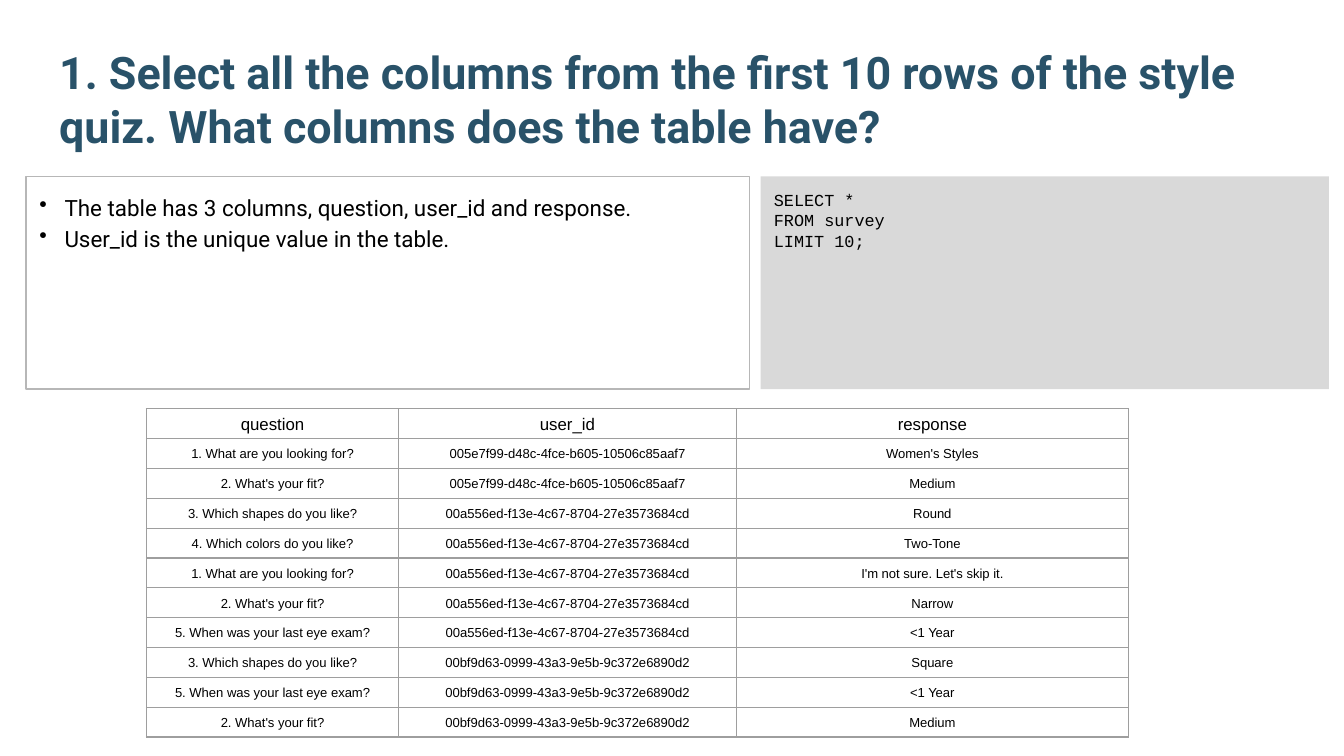
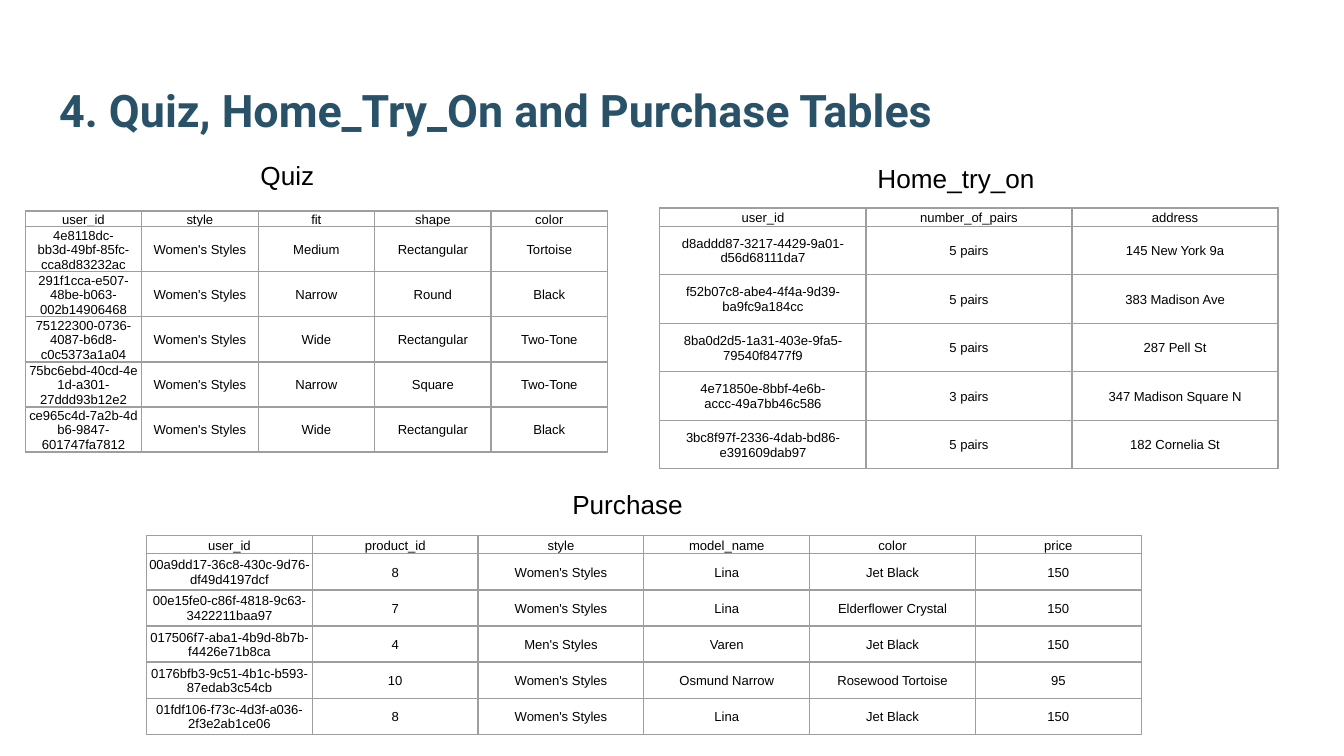
from lxml.etree import SubElement
from pptx import Presentation
from pptx.dml.color import RGBColor
from pptx.enum.shapes import MSO_SHAPE as Shape
from pptx.enum.text import MSO_ANCHOR as Anchor, MSO_AUTO_SIZE as AutoSize, PP_ALIGN as Align
from pptx.oxml.ns import qn
from pptx.util import Pt

TEAL = RGBColor(0x29, 0x52, 0x69)
BLACK = RGBColor(0x00, 0x00, 0x00)
CODE_GRAY = RGBColor(0xD9, 0xD9, 0xD9)
BOX_BORDER = RGBColor(0xB7, 0xB7, 0xB7)
GRID = RGBColor(0x9E, 0x9E, 0x9E)

SURVEY_TITLE = "1. Select all the columns from the first 10 rows of the style quiz. What columns does the table have?"
SURVEY_NOTES = [
    "The table has 3 columns, question, user_id and response.",
    "User_id is the unique value in the table.",
]
SURVEY_QUERY = ["SELECT *", "FROM survey", "LIMIT 10;"]

QUESTIONS = {
    1: "1. What are you looking for?",
    2: "2. What's your fit?",
    3: "3. Which shapes do you like?",
    4: "4. Which colors do you like?",
    5: "5. When was your last eye exam?",
}
USER_A = "005e7f99-d48c-4fce-b605-10506c85aaf7"
USER_B = "00a556ed-f13e-4c67-8704-27e3573684cd"
USER_C = "00bf9d63-0999-43a3-9e5b-9c372e6890d2"
ANSWERS = [
    (1, USER_A, "Women's Styles"),
    (2, USER_A, "Medium"),
    (3, USER_B, "Round"),
    (4, USER_B, "Two-Tone"),
    (1, USER_B, "I'm not sure. Let's skip it."),
    (2, USER_B, "Narrow"),
    (5, USER_B, "<1 Year"),
    (3, USER_C, "Square"),
    (5, USER_C, "<1 Year"),
    (2, USER_C, "Medium"),
]
SURVEY_ROWS = [("question", "user_id", "response")] + [
    (QUESTIONS[number], user, response) for number, user, response in ANSWERS
]

FUNNEL_TITLE = "4. Quiz, Home_Try_On and Purchase Tables"
FUNNEL_TABLES = [
    {
        "label": "Quiz",
        "label_box": (132.5, 82, 92, 24.5),
        "origin": (13.5, 113),
        "width": 312,
        "row_heights": (8.3, 24),
        "rows": [
            ("user_id", "style", "fit", "shape", "color"),
            ("4e8118dc-bb3d-49bf-85fc-cca8d83232ac", "Women's Styles", "Medium", "Rectangular", "Tortoise"),
            ("291f1cca-e507-48be-b063-002b14906468", "Women's Styles", "Narrow", "Round", "Black"),
            ("75122300-0736-4087-b6d8-c0c5373a1a04", "Women's Styles", "Wide", "Rectangular", "Two-Tone"),
            ("75bc6ebd-40cd-4e1d-a301-27ddd93b12e2", "Women's Styles", "Narrow", "Square", "Two-Tone"),
            ("ce965c4d-7a2b-4db6-9847-601747fa7812", "Women's Styles", "Wide", "Rectangular", "Black"),
        ],
    },
    {
        "label": "Home_try_on",
        "label_box": (463, 83.5, 105, 24.5),
        "origin": (353.5, 111.5),
        "width": 331.2,
        "row_heights": (9.7, 26),
        "rows": [
            ("user_id", "number_of_pairs", "address"),
            ("d8addd87-3217-4429-9a01-d56d68111da7", "5 pairs", "145 New York 9a"),
            ("f52b07c8-abe4-4f4a-9d39-ba9fc9a184cc", "5 pairs", "383 Madison Ave"),
            ("8ba0d2d5-1a31-403e-9fa5-79540f8477f9", "5 pairs", "287 Pell St"),
            ("4e71850e-8bbf-4e6b-accc-49a7bb46c586", "3 pairs", "347 Madison Square N"),
            ("3bc8f97f-2336-4dab-bd86-e391609dab97", "5 pairs", "182 Cornelia St"),
        ],
    },
    {
        "label": "Purchase",
        "label_box": (299.5, 258, 92, 24.5),
        "origin": (78.5, 287),
        "width": 533,
        "row_heights": (9.7, 19.35),
        "rows": [
            ("user_id", "product_id", "style", "model_name", "color", "price"),
            ("00a9dd17-36c8-430c-9d76-df49d4197dcf", "8", "Women's Styles", "Lina", "Jet Black", "150"),
            ("00e15fe0-c86f-4818-9c63-3422211baa97", "7", "Women's Styles", "Lina", "Elderflower Crystal", "150"),
            ("017506f7-aba1-4b9d-8b7b-f4426e71b8ca", "4", "Men's Styles", "Varen", "Jet Black", "150"),
            ("0176bfb3-9c51-4b1c-b593-87edab3c54cb", "10", "Women's Styles", "Osmund Narrow", "Rosewood Tortoise", "95"),
            ("01fdf106-f73c-4d3f-a036-2f3e2ab1ce06", "8", "Women's Styles", "Lina", "Jet Black", "150"),
        ],
    },
]


def write_text(frame, lines, size, font="Arial", color=BLACK, bold=False,
               align=Align.LEFT, spacing=None, bullet=None):
    for index, line in enumerate(lines):
        paragraph = frame.paragraphs[0] if index == 0 else frame.add_paragraph()
        if bullet:
            properties = paragraph._p.get_or_add_pPr()
            properties.set("marL", str(Pt(13.5)))
            properties.set("indent", str(-Pt(13.5)))
            SubElement(properties, qn("a:buChar"), char=bullet)
        paragraph.alignment = align
        if spacing:
            paragraph.line_spacing = spacing
        run = paragraph.add_run()
        run.text = line
        run.font.size = Pt(size)
        run.font.name = font
        run.font.bold = bold
        run.font.color.rgb = color


def set_frame(frame, anchor=Anchor.TOP, inset=7.2, auto_size=AutoSize.NONE):
    frame.word_wrap = True
    frame.auto_size = auto_size
    frame.vertical_anchor = anchor
    frame.margin_left = frame.margin_right = Pt(inset)
    frame.margin_top = frame.margin_bottom = Pt(inset)


def add_titled_slide(presentation, text, height):
    slide = presentation.slides.add_slide(presentation.slide_layouts[5])
    title = slide.shapes.title
    title.left, title.top, title.width, title.height = Pt(24.5), Pt(23), Pt(671), Pt(height)
    set_frame(title.text_frame, anchor=Anchor.BOTTOM)
    write_text(title.text_frame, [text], 24, font="Roboto", color=TEAL, bold=True)
    return slide


def add_panel(slide, box, fill=None, border=None):
    panel = slide.shapes.add_shape(Shape.RECTANGLE, *map(Pt, box))
    panel.shadow.inherit = False
    if fill:
        panel.fill.solid()
        panel.fill.fore_color.rgb = fill
    else:
        panel.fill.background()
    if border:
        panel.line.color.rgb = border
        panel.line.width = Pt(0.75)
    else:
        panel.line.fill.background()
    set_frame(panel.text_frame)
    return panel.text_frame


def add_label(slide, text, box):
    label = slide.shapes.add_textbox(*map(Pt, box))
    set_frame(label.text_frame, auto_size=AutoSize.SHAPE_TO_FIT_TEXT)
    label.text_frame.margin_top = label.text_frame.margin_bottom = Pt(3.6)
    write_text(label.text_frame, [text], 14)


def format_cell(cell, text, size):
    properties = cell._tc.get_or_add_tcPr()
    for side in ("a:lnL", "a:lnR", "a:lnT", "a:lnB"):
        line = SubElement(properties, qn(side), w=str(Pt(0.75)))
        SubElement(SubElement(line, qn("a:solidFill")), qn("a:srgbClr"), val=str(GRID))
    cell.fill.background()
    cell.vertical_anchor = Anchor.MIDDLE
    cell.margin_left = cell.margin_right = cell.margin_top = Pt(0.72)
    cell.margin_bottom = 0
    write_text(cell.text_frame, [text], size, align=Align.CENTER)


def add_grid(slide, rows, origin, column_widths, row_heights, header_size=7):
    header_height, body_height = row_heights
    heights = [header_height] + [body_height] * (len(rows) - 1)
    frame = slide.shapes.add_table(
        len(rows), len(column_widths), *map(Pt, (*origin, sum(column_widths), sum(heights))))
    table = frame.table
    table.first_row = table.horz_banding = False
    for column, width in zip(table.columns, column_widths):
        column.width = Pt(width)
    for row_index, (values, height) in enumerate(zip(rows, heights)):
        table.rows[row_index].height = Pt(height)
        for column_index, value in enumerate(values):
            size = header_size if row_index == 0 else 7
            format_cell(table.cell(row_index, column_index), value, size)


def build_survey_slide(presentation):
    slide = add_titled_slide(presentation, SURVEY_TITLE, 66)
    query = add_panel(slide, (407.5, 94.5, 304.5, 114), fill=CODE_GRAY)
    write_text(query, SURVEY_QUERY, 9, font="Courier New")
    notes = add_panel(slide, (14, 94.5, 387.5, 114), border=BOX_BORDER)
    write_text(notes, SURVEY_NOTES, 12, font="Roboto", spacing=1.15, bullet="•")
    add_grid(slide, SURVEY_ROWS, (78.5, 219), (135, 181, 210), (16, 16), header_size=9)


def build_funnel_slide(presentation):
    slide = add_titled_slide(presentation, FUNNEL_TITLE, 57.5)
    for item in FUNNEL_TABLES:
        count = len(item["rows"][0])
        widths = [item["width"] / count] * count
        add_grid(slide, item["rows"], item["origin"], widths, item["row_heights"])
        add_label(slide, item["label"], item["label_box"])


def main():
    presentation = Presentation()
    presentation.slide_width, presentation.slide_height = Pt(720), Pt(405)
    build_survey_slide(presentation)
    build_funnel_slide(presentation)
    presentation.save("out.pptx")


if __name__ == "__main__":
    main()
